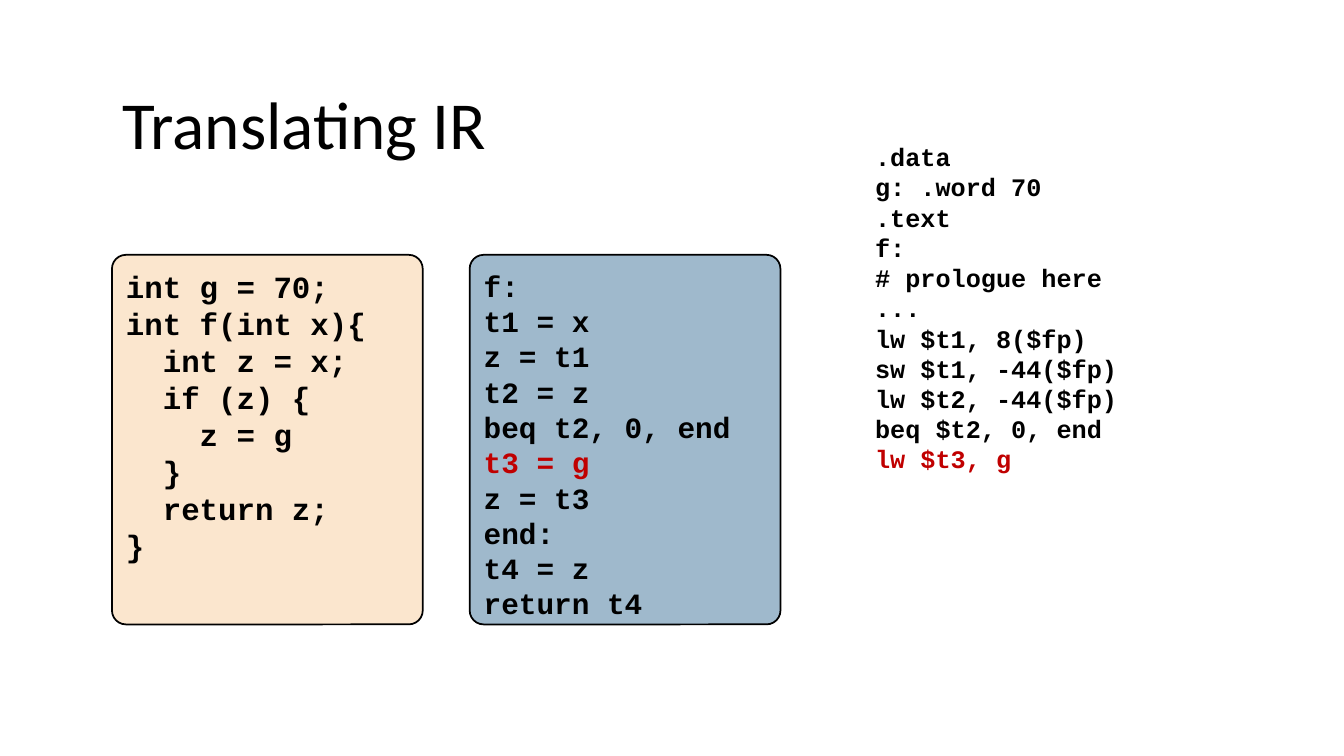
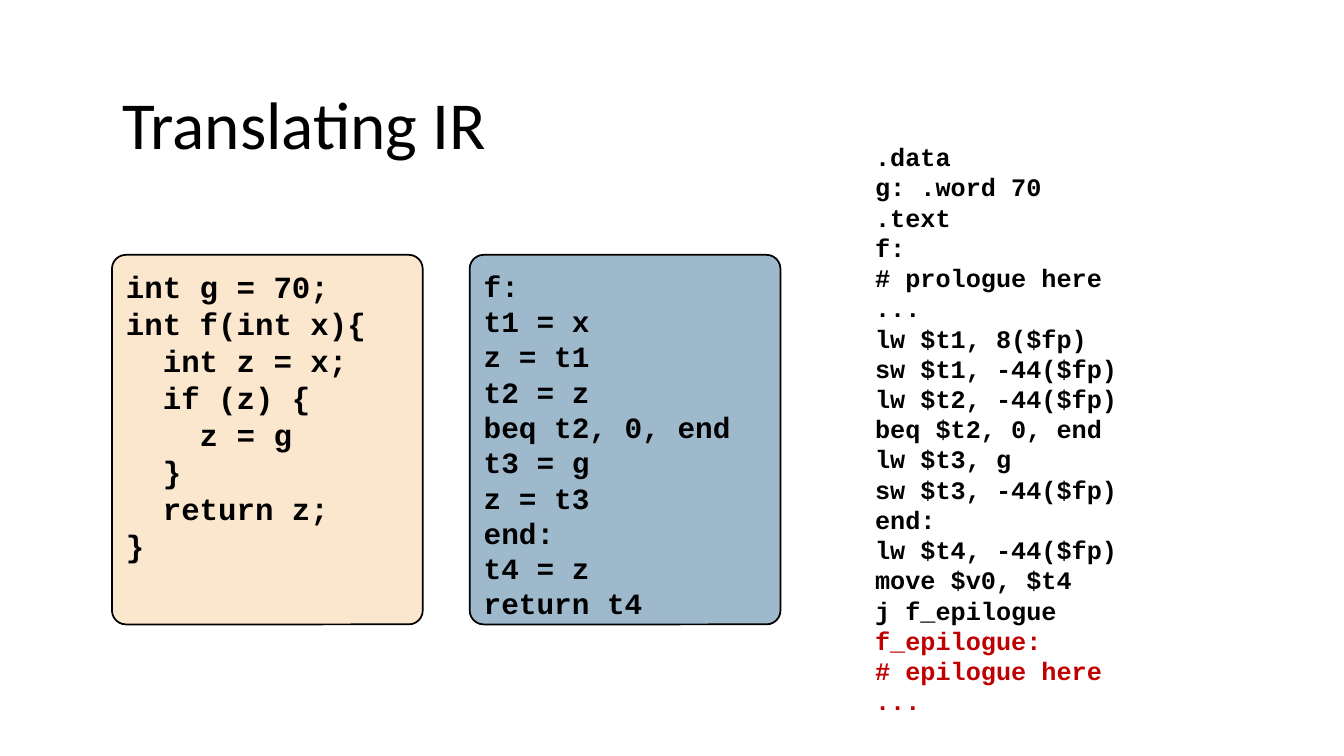
from lxml import etree
from pptx import Presentation
from pptx.dml.color import RGBColor
from pptx.enum.shapes import MSO_SHAPE
from pptx.enum.text import MSO_ANCHOR, MSO_AUTO_SIZE, PP_ALIGN
from pptx.oxml.ns import qn
from pptx.util import Pt

ROUNDED = MSO_SHAPE.ROUNDED_RECTANGLE
TOP = MSO_ANCHOR.TOP
LEFT = PP_ALIGN.LEFT
NO_FIT = MSO_AUTO_SIZE.NONE

COLORS = {"ink": "000000", "highlight": "C00000", "source": "FBE6CE", "ir": "40749B"}
TITLE_FONT = "Calibri"
CODE_FONT = "Courier New"
LINE_PITCH = 1.2

# Boxes are left, top, width, height in points.
TITLE_BOX = (80, 55, 798, 65.5)
SOURCE_BOX = (80, 182, 222, 264)
IR_BOX = (335.5, 182, 222, 264)
ASSEMBLY_LEFT, ASSEMBLY_TOP, ASSEMBLY_WIDTH = 618, 95, 312

SOURCE_CODE = """int g = 70;
int f(int x){
  int z = x;
  if (z) {
    z = g
  }
  return z;
}""".split("\n")

IR_CODE = """f:
t1 = x
z = t1
t2 = z
beq t2, 0, end
t3 = g
z = t3
end:
t4 = z
return t4""".split("\n")

ASSEMBLY = """.data
g: .word 70
.text
f:
# prologue here
...
lw $t1, 8($fp)
sw $t1, -44($fp)
lw $t2, -44($fp)
beq $t2, 0, end
lw $t3, g
sw $t3, -44($fp)
end:
lw $t4, -44($fp)
move $v0, $t4
j f_epilogue
f_epilogue:
# epilogue here
...""".split("\n")

# Assembly lines shown, highlighted assembly lines, highlighted IR lines.
STEPS = [
    (11, {10}, {IR_CODE.index("t3 = g")}),
    (len(ASSEMBLY), {16, 17, 18}, set()),
]


def rgb(name):
    return RGBColor.from_string(COLORS[name])


def style_font(font, face, size, color, bold):
    font.name = face
    font.size = Pt(size)
    font.bold = bold
    font.color.rgb = rgb(color)


def write_code(frame, lines, size, highlighted, top_inset):
    frame.word_wrap = True
    frame.auto_size = NO_FIT
    frame.vertical_anchor = TOP
    frame.margin_top = Pt(top_inset)
    frame.margin_bottom = 0
    frame.text = "\n".join(lines)
    for index, paragraph in enumerate(frame.paragraphs):
        paragraph.alignment = LEFT
        paragraph.line_spacing = Pt(size * LINE_PITCH)
        color = "highlight" if index in highlighted else "ink"
        for run in paragraph.runs:
            style_font(run.font, CODE_FONT, size, color, True)


def add_title(slide, box, text):
    title = slide.shapes.title
    title.left, title.top, title.width, title.height = map(Pt, box)
    frame = title.text_frame
    frame.text = text
    frame.auto_size = NO_FIT
    frame.vertical_anchor = TOP
    paragraph = frame.paragraphs[0]
    paragraph.alignment = LEFT
    style_font(paragraph.runs[0].font, TITLE_FONT, 48, "ink", False)


def add_code_panel(slide, box, fill, lines, size, highlighted=(), opacity=100):
    panel = slide.shapes.add_shape(ROUNDED, *map(Pt, box))
    panel.shadow.inherit = False
    panel.adjustments[0] = 0.045
    panel.fill.solid()
    panel.fill.fore_color.rgb = rgb(fill)
    if opacity < 100:
        color = panel.fill._xPr.find(qn("a:solidFill"))[0]
        etree.SubElement(color, qn("a:alpha"), val=str(opacity * 1000))
    panel.line.color.rgb = rgb("ink")
    panel.line.width = Pt(1.25)
    write_code(panel.text_frame, lines, size, highlighted, 6.5)


def add_assembly(slide, left, top, width, lines, highlighted):
    size = 18
    height = len(lines) * size * LINE_PITCH + 7
    listing = slide.shapes.add_textbox(Pt(left), Pt(top), Pt(width), Pt(height))
    write_code(listing.text_frame, lines, size, highlighted, 6)


def add_translation_slide(deck, shown, assembly_marks, ir_marks):
    slide = deck.slides.add_slide(deck.slide_layouts[5])
    add_title(slide, TITLE_BOX, "Translating IR")
    add_assembly(slide, ASSEMBLY_LEFT, ASSEMBLY_TOP, ASSEMBLY_WIDTH,
                 ASSEMBLY[:shown], assembly_marks)
    add_code_panel(slide, SOURCE_BOX, "source", SOURCE_CODE, 22)
    add_code_panel(slide, IR_BOX, "ir", IR_CODE, 21, ir_marks, opacity=50)


def main():
    deck = Presentation()
    deck.slide_width, deck.slide_height = Pt(960), Pt(540)
    for step in STEPS:
        add_translation_slide(deck, *step)
    deck.save("out.pptx")


if __name__ == "__main__":
    main()
